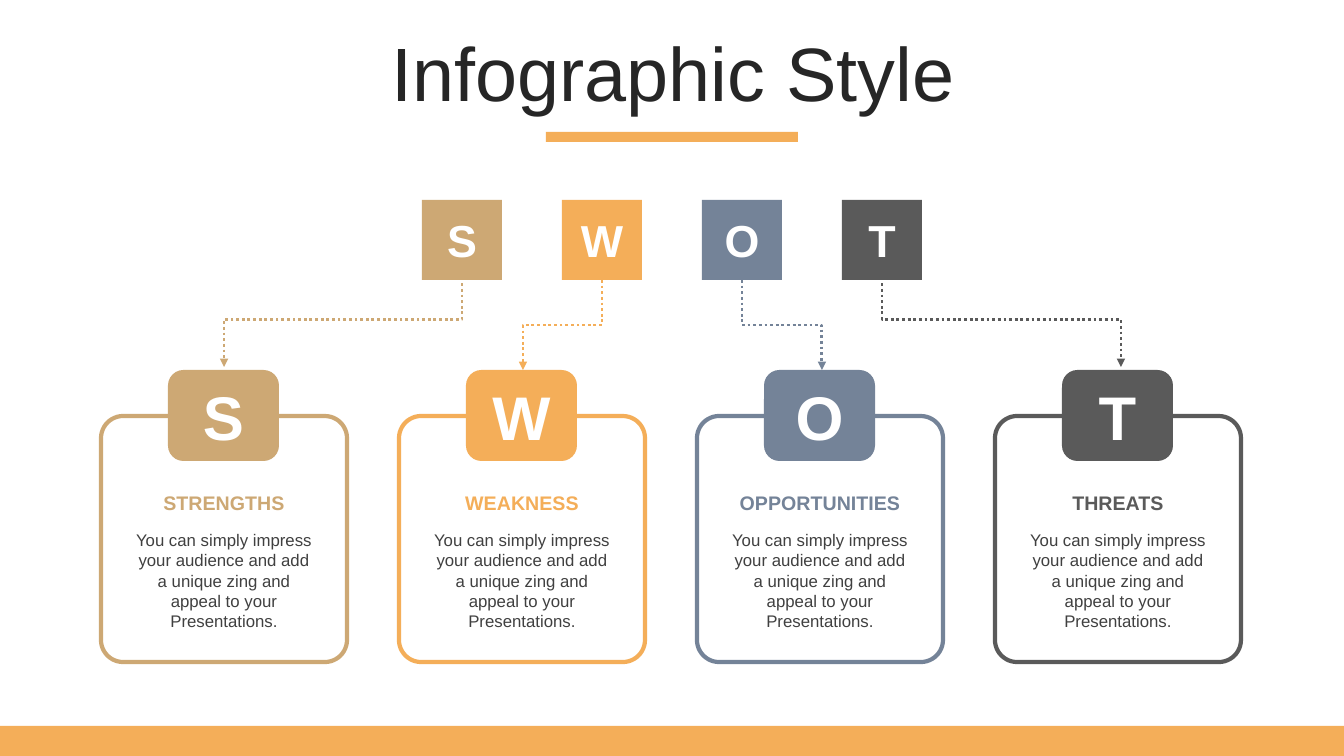
from dataclasses import dataclass

from lxml import etree
from pptx import Presentation
from pptx.dml.color import RGBColor
from pptx.enum.dml import MSO_LINE
from pptx.enum.shapes import MSO_CONNECTOR, MSO_SHAPE
from pptx.enum.text import MSO_ANCHOR, MSO_AUTO_SIZE, PP_ALIGN
from pptx.oxml.ns import qn
from pptx.util import Emu, Inches, Pt

RECT = MSO_SHAPE.RECTANGLE
ROUNDED = MSO_SHAPE.ROUNDED_RECTANGLE
ELBOW = MSO_CONNECTOR.ELBOW
DOTTED = MSO_LINE.ROUND_DOT
CENTER = PP_ALIGN.CENTER
MIDDLE = MSO_ANCHOR.MIDDLE
TOP = MSO_ANCHOR.TOP
NO_AUTOFIT = MSO_AUTO_SIZE.NONE
TITLE_ONLY = 5
PX_PER_INCH = 100.8

BODY = ("You can simply impress your audience and add a unique zing "
        "and appeal to your Presentations.")


@dataclass(frozen=True)
class Theme:
    font: str = "Arial"
    white: str = "FFFFFF"
    title: str = "262626"
    body: str = "404040"
    tan: str = "CDA874"
    orange: str = "F4AE59"
    slate: str = "748398"
    gray: str = "5A5A5A"
    title_size: int = 54
    tab_size: int = 44
    tile_size: int = 32
    heading_size: int = 14
    body_size: int = 12
    outline: int = 3
    connector: int = 2


def px(value):
    return Emu(round(value * Inches(1) / PX_PER_INCH))


class Deck:
    def __init__(self, theme):
        self.theme = theme
        self.prs = Presentation()
        self.prs.slide_width = px(1344)
        self.prs.slide_height = px(756)
        self.slide = self.prs.slides.add_slide(self.prs.slide_layouts[TITLE_ONLY])

    def label(self, sp, text, size, color, bold=False, anchor=MIDDLE):
        tf = sp.text_frame
        tf.word_wrap = True
        tf.auto_size = NO_AUTOFIT
        tf.vertical_anchor = anchor
        p = tf.paragraphs[0]
        p.text = text
        p.alignment = CENTER
        p.font.name = self.theme.font
        p.font.size = Pt(size)
        p.font.bold = bold
        p.font.color.rgb = RGBColor.from_string(color)
        return p

    def title(self, text, x, y, w, h):
        sp = self.slide.shapes.title
        sp.left, sp.top, sp.width, sp.height = map(px, (x, y, w, h))
        p = self.label(sp, text, self.theme.title_size, self.theme.title)
        p.line_spacing = 0.9

    def box(self, kind, x, y, w, h, fill, line=None, radius=None):
        sp = self.slide.shapes.add_shape(kind, *map(px, (x, y, w, h)))
        sp.shadow.inherit = False
        sp.fill.solid()
        sp.fill.fore_color.rgb = RGBColor.from_string(fill)
        if line:
            sp.line.color.rgb = RGBColor.from_string(line)
            sp.line.width = Pt(self.theme.outline)
        else:
            sp.line.fill.background()
        if radius:
            sp.adjustments[0] = radius
        return sp

    def text(self, text, x, y, w, h, size, color, bold=False):
        sp = self.slide.shapes.add_textbox(*map(px, (x, y, w, h)))
        self.label(sp, text, size, color, bold, TOP)

    def drop_arrow(self, x1, y1, x2, y2, color):
        cx, cy = (x1 + x2) / 2, (y1 + y2) / 2
        half_w, half_h = (y2 - y1) / 2, abs(x2 - x1) / 2
        rightward = x2 > x1
        if rightward:
            half_w = -half_w
        ends = (cx - half_w, cy - half_h, cx + half_w, cy + half_h)
        cxn = self.slide.shapes.add_connector(ELBOW, *map(px, ends))
        degrees = 270 if rightward else 90
        sp_pr = cxn._element.spPr
        sp_pr.find(qn("a:xfrm")).set("rot", str(degrees * 60000))
        cxn.line.color.rgb = RGBColor.from_string(color)
        cxn.line.width = Pt(self.theme.connector)
        cxn.line.dash_style = DOTTED
        etree.SubElement(sp_pr.find(qn("a:ln")), qn("a:tailEnd"), type="triangle")
        etree.SubElement(sp_pr, qn("a:effectLst"))

    def save(self):
        self.prs.save("out.pptx")


def main():
    theme = Theme()
    deck = Deck(theme)
    deck.box(RECT, 546, 132, 252, 10, theme.orange)
    deck.box(RECT, 0, 726, 1344, 30, theme.orange)
    deck.title("Infographic Style", 35, 37, 1276, 80)

    outer_span, inner_span = (272, 367), (280, 370)
    topics = [
        ("STRENGTHS", theme.tan, outer_span),
        ("WEAKNESS", theme.orange, inner_span),
        ("OPPORTUNITIES", theme.slate, inner_span),
        ("THREATS", theme.gray, outer_span),
    ]
    for i, (heading, color, (start, end)) in enumerate(topics):
        letter = heading[0]
        offset = 298 * i
        deck.box(ROUNDED, 101 + offset, 416, 246, 246, theme.white, color, 0.09)
        tab = deck.box(ROUNDED, 168 + offset, 370, 111, 91, color, radius=0.17)
        deck.label(tab, letter, theme.tab_size, theme.white, True)
        deck.text(heading, 125 + offset, 486, 198, 34, theme.heading_size, color, True)
        deck.text(BODY, 125 + offset, 525, 198, 112, theme.body_size, theme.body)

        tile = deck.box(RECT, 422 + 140 * i, 200, 80, 80, color)
        deck.label(tile, letter, theme.tile_size, theme.white, True)
        deck.drop_arrow(462 + 140 * i, start, 224 + 299 * i, end, color)

    deck.save()


if __name__ == "__main__":
    main()
